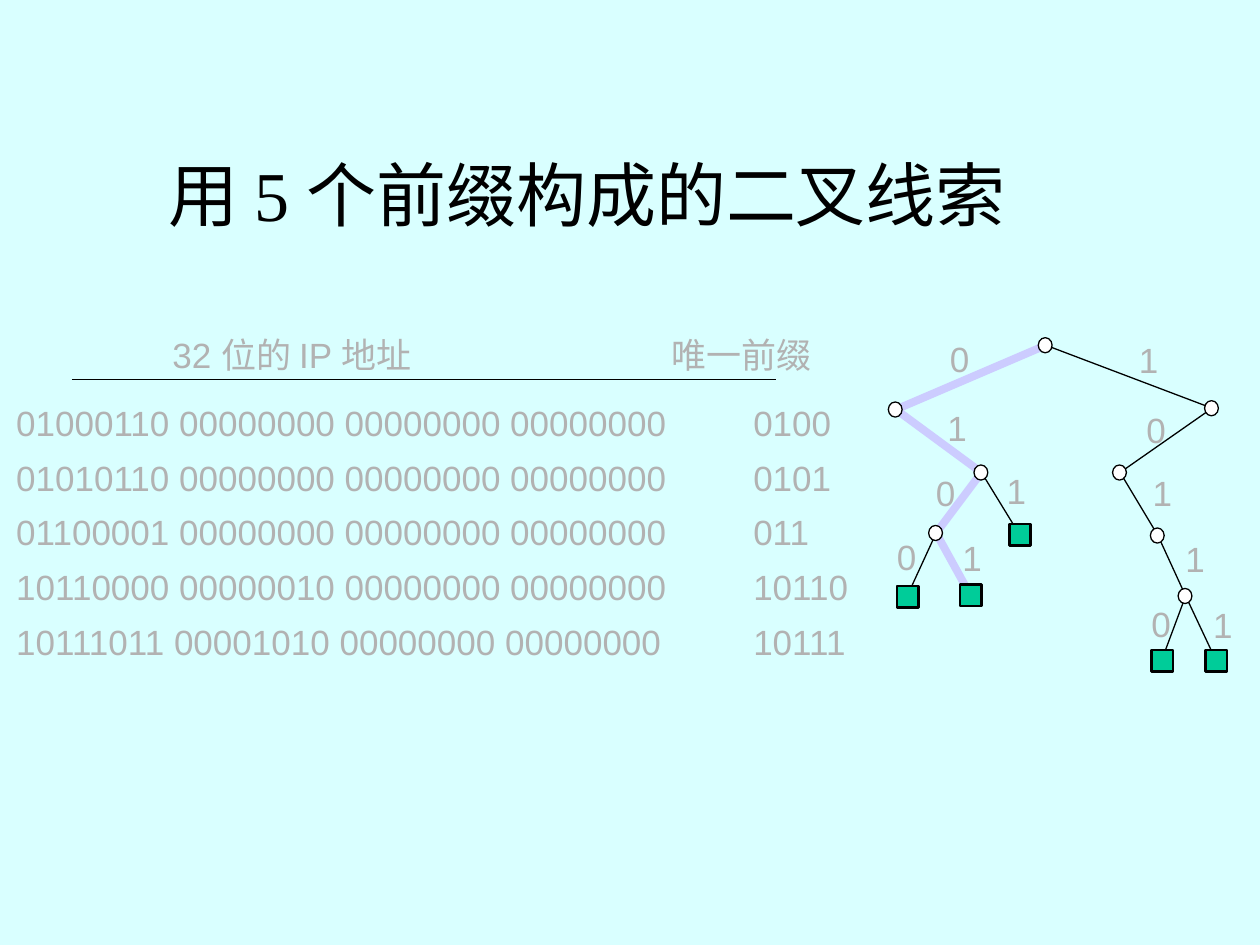
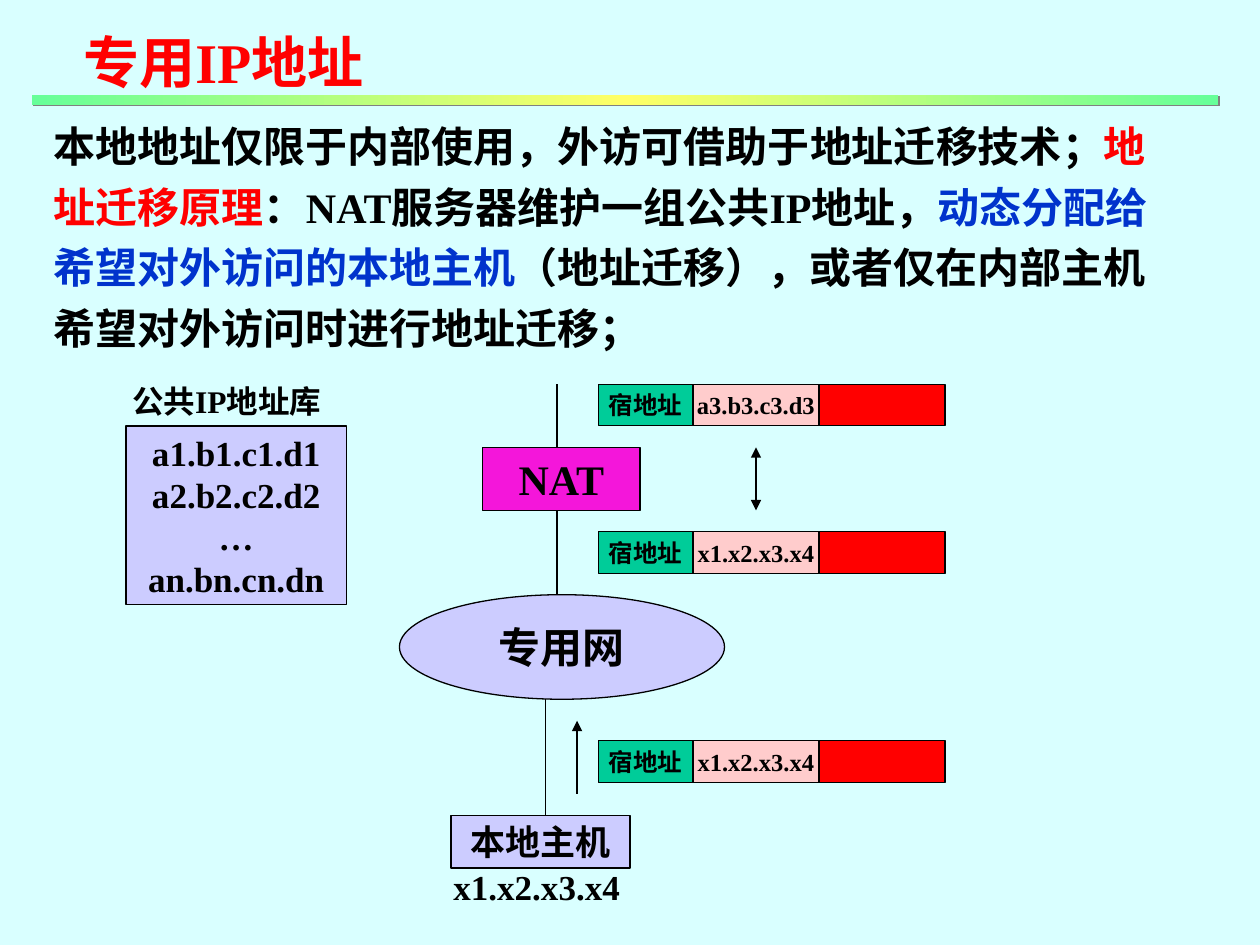
from lxml.etree import SubElement
from pptx import Presentation
from pptx.dml.color import RGBColor
from pptx.enum.shapes import MSO_CONNECTOR, MSO_SHAPE
from pptx.enum.text import MSO_ANCHOR, MSO_AUTO_SIZE, PP_ALIGN
from pptx.oxml import parse_xml
from pptx.oxml.ns import nsdecls, qn
from pptx.util import Inches, Pt

HUES = {
    "back": "D9FFFF", "ink": "000000", "gray": "B2B2B2", "lilac": "CCCCFF",
    "green": "00CC99", "pink": "FFCCCC", "red": "FF0000", "blue": "0033CC",
    "plum": "F416DA", "white": "FFFFFF", "mint": "66FF99", "lemon": "FFFF66",
    "shade": "808080",
}
SERIF, SANS = "Times New Roman", "Arial"

ROWS = [
    ("01000110 00000000 00000000 00000000", "0100"),
    ("01010110 00000000 00000000 00000000", "0101"),
    ("01100001 00000000 00000000 00000000", "011"),
    ("10110000 00000010 00000000 00000000", "10110"),
    ("10111011 00001010 00000000 00000000", "10111"),
]
NODES = {
    "": (8.3, 2.74), "0": (7.11, 3.25), "1": (9.62, 3.24),
    "01": (7.79, 3.75), "10": (8.89, 3.75), "010": (7.43, 4.23),
    "011": (8.09, 4.24), "101": (9.19, 4.25), "0100": (7.2, 4.73),
    "0101": (7.7, 4.72), "1011": (9.41, 4.73), "10110": (9.22, 5.24),
    "10111": (9.65, 5.24),
}
MARKS = {
    "0": (7.44, 2.63), "1": (8.94, 2.64), "01": (7.42, 3.18),
    "10": (9, 3.19), "010": (7.33, 3.69), "011": (7.89, 3.68),
    "101": (9.05, 3.69), "0100": (7.02, 4.2), "0101": (7.54, 4.21),
    "1011": (9.31, 4.22), "10110": (9.04, 4.73), "10111": (9.53, 4.74),
}


def tint(name):
    return RGBColor.from_string(HUES[name])


def write(frame, *paras, size=20, font=SERIF, hue="ink", bold=True,
          align=PP_ALIGN.LEFT, gap=None, after=None, tabs=()):
    """Append paragraphs, each a string or a list of (text, hue) runs."""
    for para in paras:
        line = frame.add_paragraph() if frame.text else frame.paragraphs[0]
        line.alignment = align
        if gap:
            line.line_spacing = gap
        if after:
            line.space_after = Pt(after)
        if tabs:
            stops = SubElement(line._p.get_or_add_pPr(), qn("a:tabLst"))
            for stop in tabs:
                SubElement(stops, qn("a:tab"), pos=str(Inches(stop)), algn="l")
        for text, shade in [(para, hue)] if isinstance(para, str) else para:
            run = line.add_run()
            run.text = text
            run.font.size, run.font.name = Pt(size), font
            run.font.bold = bold
            run.font.color.rgb = tint(shade)


class Deck:
    """Holds the shared style and the current slide."""

    def __init__(self):
        self.file = Presentation()
        self.file.slide_width, self.file.slide_height = Inches(10), Inches(7.5)
        fill = self.file.slide_master.background.fill
        fill.solid()
        fill.fore_color.rgb = tint("back")

    def page(self, title, box, anchor, **form):
        self.slide = self.file.slides.add_slide(self.file.slide_layouts[5])
        self.shapes = self.slide.shapes
        head = self.shapes.title
        head.left, head.top, head.width, head.height = map(Inches, box)
        frame = head.text_frame
        frame.auto_size = MSO_AUTO_SIZE.NONE
        frame.vertical_anchor = anchor
        write(frame, title, **form)

    def text(self, box, *paras, wrap=False, **form):
        frame = self.shapes.add_textbox(*map(Inches, box)).text_frame
        frame.word_wrap = wrap
        write(frame, *paras, **form)
        return frame

    def shape(self, box, hue, *paras, kind=MSO_SHAPE.RECTANGLE, width=0.75,
              **form):
        item = self.shapes.add_shape(kind, *map(Inches, box))
        item.shadow.inherit = False
        item.fill.solid()
        item.fill.fore_color.rgb = tint(hue)
        item.line.color.rgb = tint("ink")
        item.line.width = Pt(width)
        frame = item.text_frame
        frame.word_wrap = False
        frame.vertical_anchor = MSO_ANCHOR.MIDDLE
        write(frame, *paras, align=PP_ALIGN.CENTER, **form)

    def line(self, start, end, ends=()):
        item = self.shapes.add_connector(
            MSO_CONNECTOR.STRAIGHT, *map(Inches, (*start, *end)))
        item.line.color.rgb = tint("ink")
        item.line.width = Pt(0.75)
        for tip in ends:
            SubElement(item.line._get_or_add_ln(), qn("a:" + tip),
                       type="triangle")
        SubElement(item._element.spPr, qn("a:effectLst"))

    def trail(self, points, hue, width):
        first, *rest = [tuple(map(Inches, point)) for point in points]
        pen = self.shapes.build_freeform(*first)
        pen.add_line_segments(rest, close=False)
        item = pen.convert_to_shape()
        item.shadow.inherit = False
        item.fill.background()
        item.line.color.rgb = tint(hue)
        item.line.width = Pt(width)

    def band(self, box):
        item = self.shapes.add_shape(MSO_SHAPE.RECTANGLE, *map(Inches, box))
        item.line.fill.background()
        item.fill.gradient()
        item.fill.gradient_angle = 0
        stops = item._element.spPr.find(qn("a:gradFill")).find(qn("a:gsLst"))
        stops.clear()
        for place, hue in ((0, "mint"), (50, "lemon"), (100, "mint")):
            stop = SubElement(stops, qn("a:gs"), pos=str(place * 1000))
            SubElement(stop, qn("a:srgbClr"), val=HUES[hue])
        item._element.spPr.append(parse_xml(
            f'<a:effectLst {nsdecls("a")}><a:outerShdw dist="17780" '
            f'dir="2700000"><a:srgbClr val="{HUES["shade"]}"/>'
            '</a:outerShdw></a:effectLst>'))

    def packet(self, top, address):
        self.shape((4.75, top, 0.75, 0.33), "green", "宿地址", size=14)
        self.shape((5.5, top, 1, 0.33), "pink", address, size=14)
        self.shape((6.5, top, 1, 0.33), "red")


def tree(deck):
    trails = []
    for leaf, hue, width in (("10111", "ink", 0.75), ("0101", "lilac", 4.5)):
        keys = [leaf[:n] for n in range(len(leaf) + 1)]
        deck.trail([NODES[key] for key in keys], hue, width)
        trails += keys
    for key, spot in NODES.items():
        if key not in trails:
            deck.line(NODES[key[:-1]], spot)
    for key, spot in MARKS.items():
        deck.text((*spot, 0.35, 0.44), key[-1], font=SANS, hue="gray",
                  bold=False)
    leaves = [prefix for _, prefix in ROWS]
    for key, (x, y) in NODES.items():
        if key in leaves:
            deck.shape((x - 0.08, y - 0.08, 0.17, 0.17), "green", width=1.5)
        else:
            deck.shape((x - 0.06, y - 0.06, 0.11, 0.12), "white",
                       kind=MSO_SHAPE.OVAL)


def trie(deck):
    deck.page("用 5 个前缀构成的二叉线索", (0.75, 0.67, 7.82, 1.25),
              MSO_ANCHOR.BOTTOM, size=40, bold=False, align=PP_ALIGN.CENTER)
    form = dict(font=SANS, hue="gray", bold=False)
    frame = deck.text((0.03, 2.6, 6.95, 3.04), "\t32 位的 IP 地址\t唯一前缀",
                      wrap=True, after=7.5, tabs=(1.24, 5.2), **form)
    write(frame, *map("\t".join, ROWS), gap=1.3, tabs=(5.85,), **form)
    deck.line((0.57, 3.01), (6.16, 3.01))
    tree(deck)


def nat(deck):
    deck.page("专用IP地址", (0.56, 0.17, 4, 0.64), MSO_ANCHOR.TOP,
              size=32, hue="red")
    deck.band((0.25, 0.75, 9.42, 0.08))
    deck.text((0.33, 0.83, 9.08, 2.02), [
        ("本地地址仅限于内部使用，外访可借助于地址迁移技术；", "ink"),
        ("地址迁移原理", "red"),
        ("：NAT服务器维护一组公共IP地址，", "ink"),
        ("动态分配给希望对外访问的本地主机", "blue"),
        ("（地址迁移），或者仅在内部主机希望对外访问时进行地址迁移；", "ink"),
    ], wrap=True, size=24, gap=1.2)

    deck.text((0.95, 2.98, 1.82, 0.4), "公共IP地址库", size=18)
    deck.shape((1, 3.38, 1.75, 1.42), "lilac",
               "a1.b1.c1.d1", "a2.b2.c2.d2", "…", "an.bn.cn.dn")
    deck.shape((3.83, 3.55, 1.25, 0.5), "plum", "NAT", size=24)
    deck.shape((3.17, 4.72, 2.58, 0.83), "lilac", "专用网", size=24,
               kind=MSO_SHAPE.OVAL)
    deck.shape((3.58, 6.47, 1.42, 0.42), "lilac", "本地主机")
    deck.text((3.5, 6.82, 1.52, 0.44), "x1.x2.x3.x4")

    for x, top, low in ((4.42, 3.05, 3.55), (4.42, 4.05, 4.72),
                        (4.33, 5.55, 6.47)):
        deck.line((x, top), (x, low))
    deck.line((6, 3.55), (6, 4.05), ends=("headEnd", "tailEnd"))
    deck.line((4.58, 6.3), (4.58, 5.72), ends=("tailEnd",))
    for top, address in ((3.05, "a3.b3.c3.d3"), (4.22, "x1.x2.x3.x4"),
                         (5.88, "x1.x2.x3.x4")):
        deck.packet(top, address)


def main():
    deck = Deck()
    trie(deck)
    nat(deck)
    deck.file.save("out.pptx")


if __name__ == "__main__":
    main()
